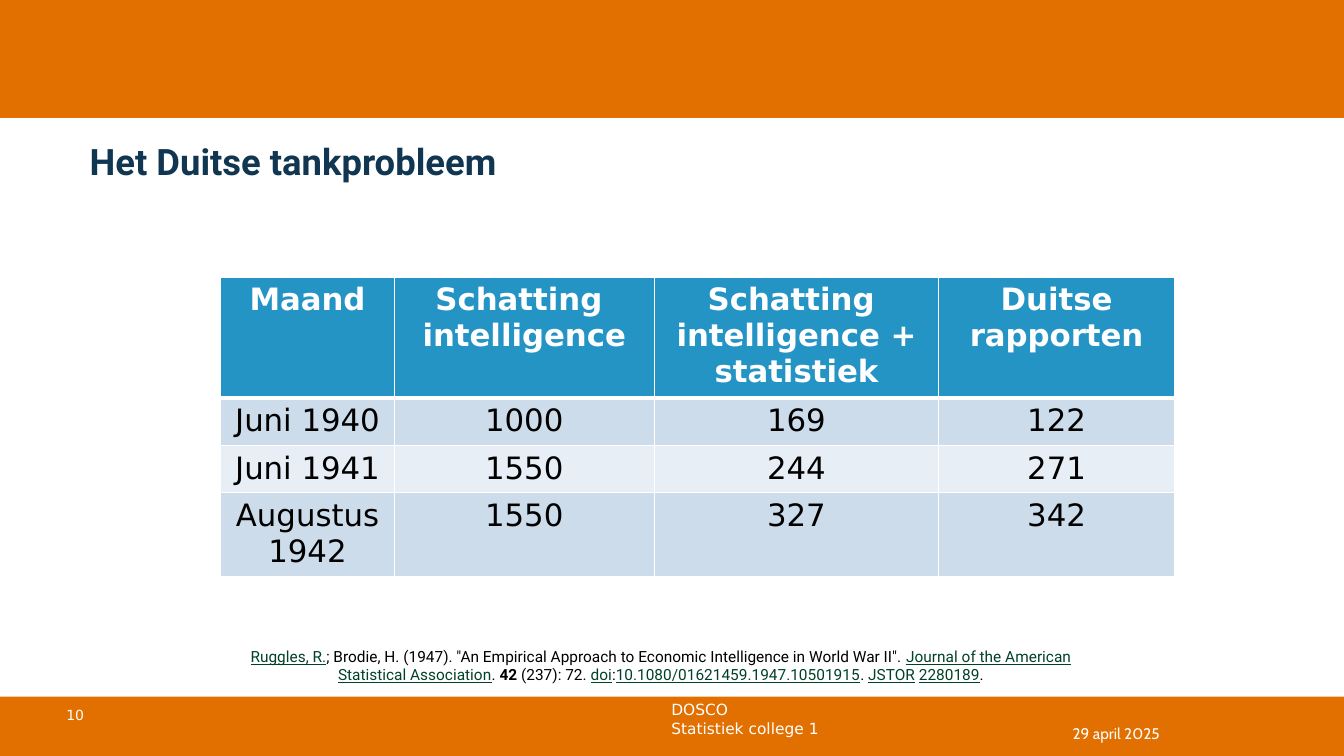
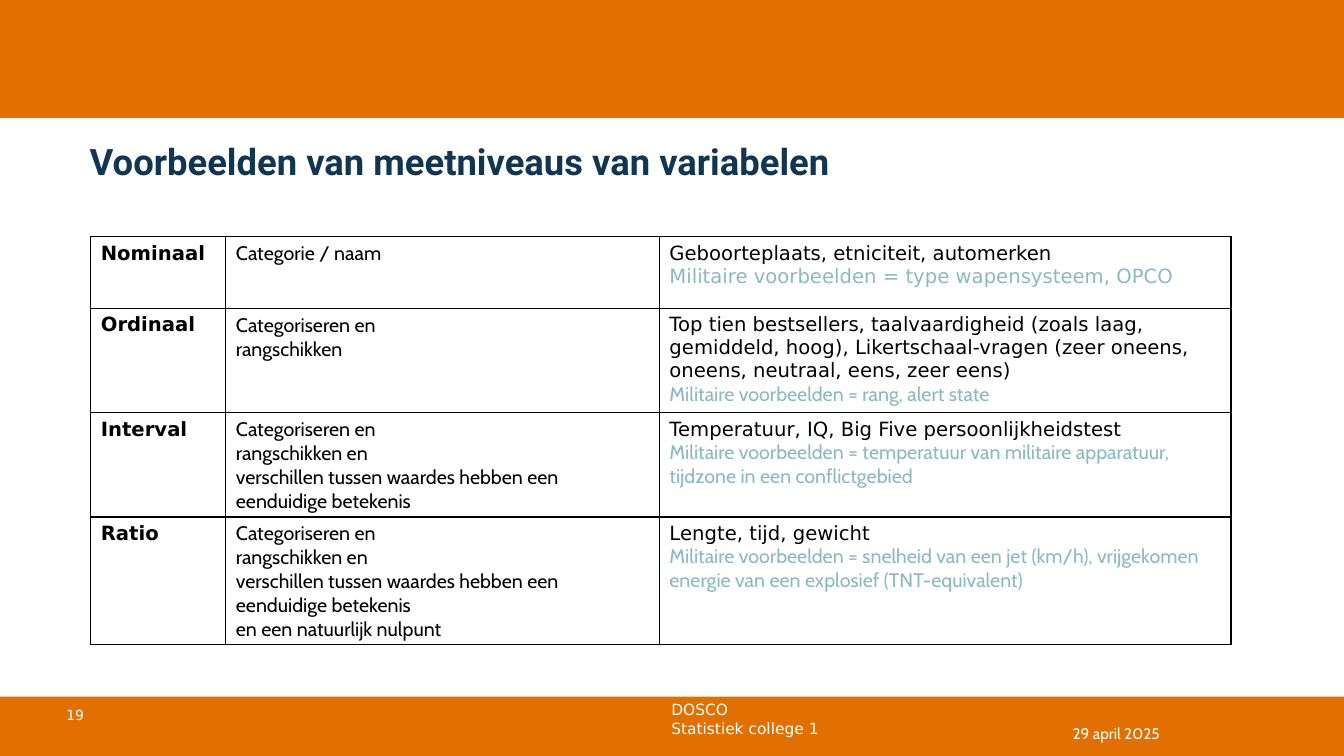
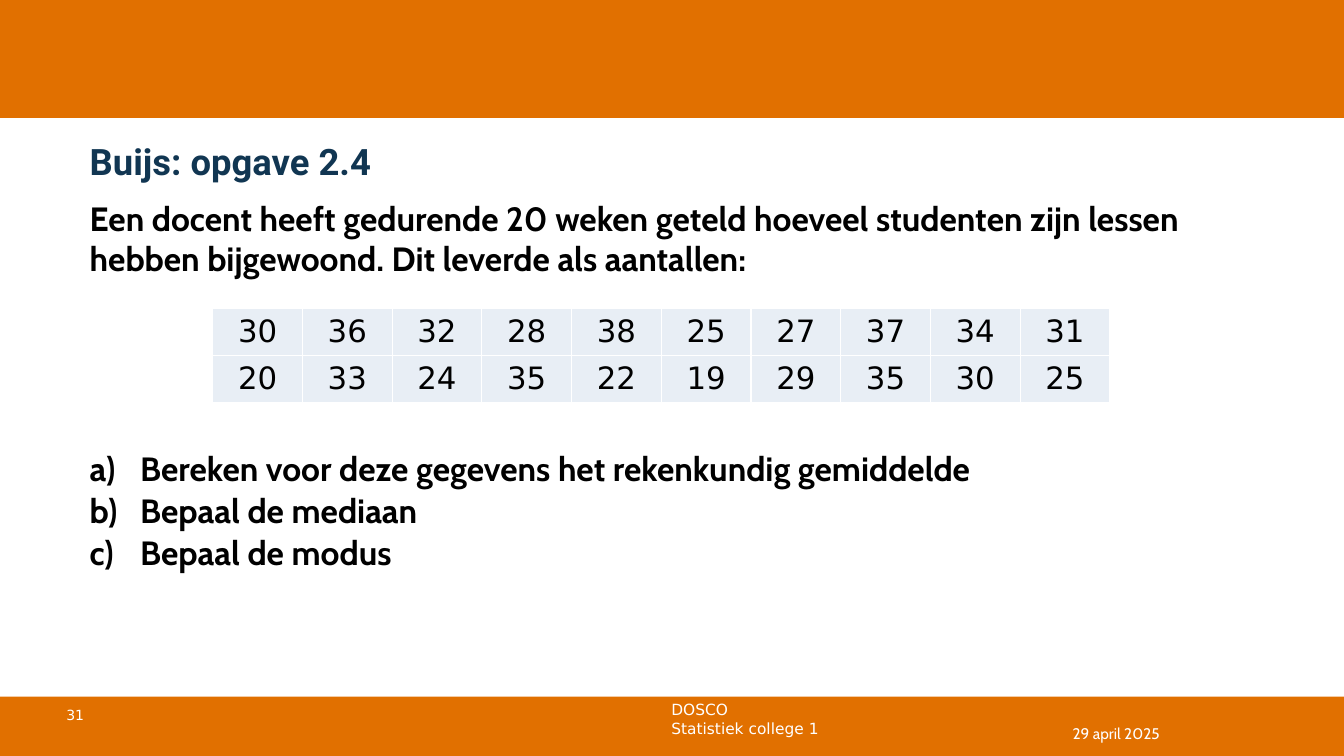
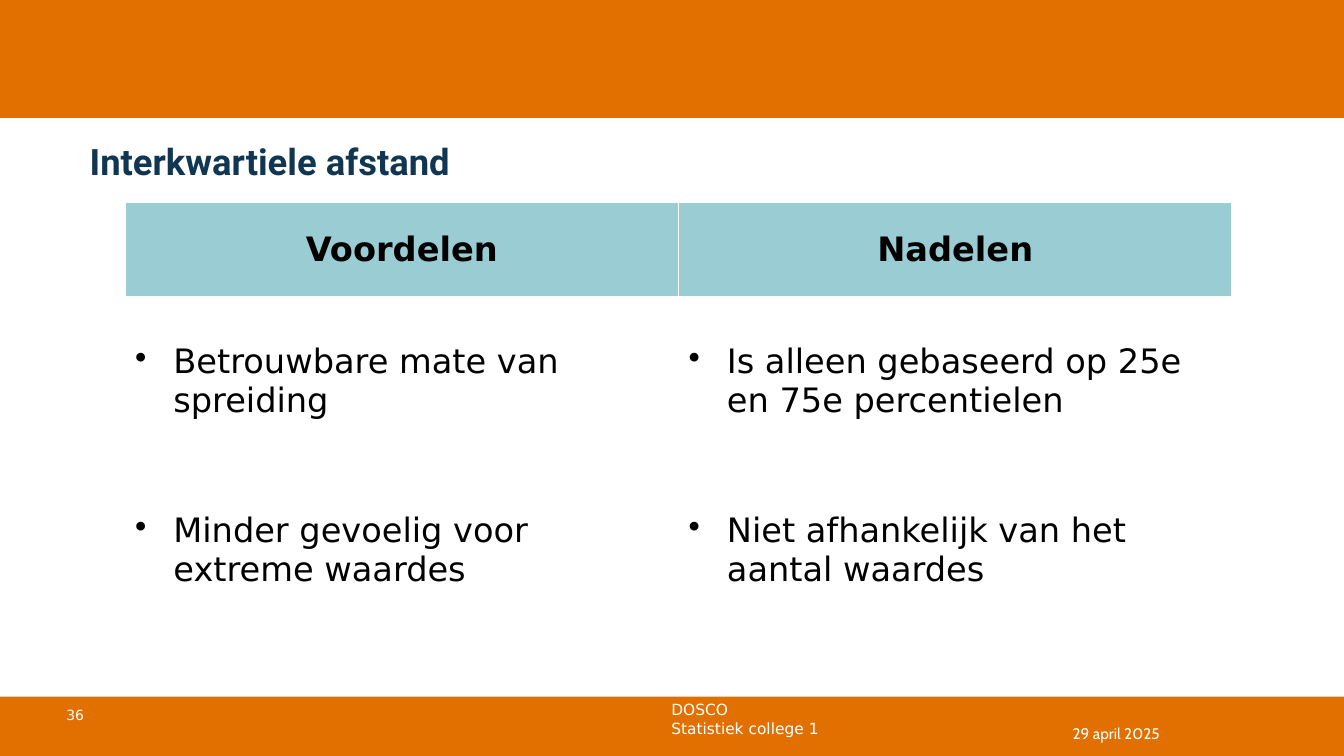
from pptx import Presentation
from pptx.dml.color import RGBColor
from pptx.enum import shapes, text
from pptx.oxml import parse_xml
from pptx.oxml.ns import nsdecls
from pptx.util import Inches, Pt

# Shared look
ORANGE, NAVY, WHITE, BLACK = "E17000", "113652", "FFFFFF", "000000"
BLUE, BLUE_MID, BLUE_PALE = "2494C5", "CDDCEA", "E8EEF5"
AQUA, TEAL, LINK_GREEN = "9ACCD4", "8BB9C0", "004228"
SANS, HEADING, BODY = "DejaVu Sans", "Roboto", "Cabin"
LEFT, CENTER = text.PP_ALIGN.LEFT, text.PP_ALIGN.CENTER
TOP, MIDDLE = text.MSO_ANCHOR.TOP, text.MSO_ANCHOR.MIDDLE
DOT = '<a:buChar {} char="•"/>'
LETTER = '<a:buAutoNum {} type="alphaLcParenR"/>'

# Content
COURSE = ["DOSCO", "Statistiek college 1"]
DATE = "29 april 2025"

TANK_ROWS = [
    [["Maand"], ["Schatting ", "intelligence"],
     ["Schatting ", "intelligence + statistiek"], ["Duitse rapporten"]],
    [["Juni 1940"], ["1000"], ["169"], ["122"]],
    [["Juni 1941"], ["1550"], ["244"], ["271"]],
    [["Augustus 1942"], ["1550"], ["327"], ["342"]],
]
LINK = {"color": LINK_GREEN, "underline": True}
CITATION = [
    ("Ruggles, R.", LINK),
    ('; Brodie, H. (1947). "An Empirical Approach to Economic Intelligence in World War II". ', {}),
    ("Journal of the American Statistical Association", LINK),
    (". ", {}), ("42", {"bold": True}), (" (237): 72. ", {}),
    ("doi", LINK), (":", {}), ("10.1080/01621459.1947.10501915", LINK),
    (". ", {}), ("JSTOR", LINK), (" ", {}), ("2280189", LINK), (".", {}),
]

RANKING = ["Categoriseren en", "rangschikken en",
           "verschillen tussen waardes hebben een eenduidige betekenis"]
# level, meaning, examples, military examples, font of the military examples
LEVELS = [
    ("Nominaal", ["Categorie / naam"],
     "Geboorteplaats, etniciteit, automerken",
     "type wapensysteem, OPCO", SANS),
    ("Ordinaal", ["Categoriseren en", "rangschikken"],
     "Top tien bestsellers, taalvaardigheid (zoals laag, gemiddeld, hoog), "
     "Likertschaal-vragen (zeer oneens, oneens, neutraal, eens, zeer eens)",
     "rang, alert state", BODY),
    ("Interval", RANKING,
     "Temperatuur, IQ, Big Five persoonlijkheidstest",
     "temperatuur van militaire apparatuur, tijdzone in een conflictgebied", BODY),
    ("Ratio", RANKING + ["en een natuurlijk nulpunt"],
     "Lengte, tijd, gewicht",
     "snelheid van een jet (km/h), vrijgekomen energie van een explosief (TNT-equivalent)", BODY),
]

EXERCISE = ("Een docent heeft gedurende 20 weken geteld hoeveel studenten zijn "
            "lessen hebben bijgewoond. Dit leverde als aantallen:")
ATTENDANCE = [[30, 36, 32, 28, 38, 25, 27, 37, 34, 31],
              [20, 33, 24, 35, 22, 19, 29, 35, 30, 25]]
QUESTIONS = ["Bereken voor deze gegevens het rekenkundig gemiddelde",
             "Bepaal de mediaan", "Bepaal de modus"]

PROS_CONS = [
    ["Voordelen", "Nadelen"],
    ["Betrouwbare mate van spreiding", "Is alleen gebaseerd op 25e en 75e percentielen"],
    ["Minder gevoelig voor extreme waardes", "Niet afhankelijk van het aantal waardes"],
]


def rgb(value):
    return RGBColor.from_string(value)


def write(frame, content, size=11, font=SANS, color=BLACK, bold=False,
          align=LEFT, before=0, bullet=None, indent=0):
    """Add one paragraph; content is a string or a list of (text, overrides)."""
    first = frame.paragraphs[0]
    paragraph = frame.add_paragraph() if first.runs else first
    paragraph.alignment = align
    paragraph.space_before = Pt(before)
    if bullet:
        properties = paragraph._p.get_or_add_pPr()
        properties.set("marL", str(Inches(indent)))
        properties.set("indent", str(-Inches(indent)))
        properties.append(parse_xml(bullet.format(nsdecls("a"))))
    for words, change in [(content, {})] if isinstance(content, str) else content:
        run = paragraph.add_run()
        run.text = words
        run.font.size, run.font.name = Pt(size), font
        run.font.bold = change.get("bold", bold)
        run.font.underline = change.get("underline", False)
        run.font.color.rgb = rgb(change.get("color", color))


def text_frame(slide, x, y, width, height, inset=True, anchor=TOP):
    frame = slide.shapes.add_textbox(*map(Inches, (x, y, width, height))).text_frame
    frame.word_wrap = True
    frame.vertical_anchor = anchor
    if not inset:
        frame.margin_left = frame.margin_right = frame.margin_top = frame.margin_bottom = 0
    return frame


def band(slide, y, height):
    bar = slide.shapes.add_shape(shapes.MSO_SHAPE.RECTANGLE, 0, Inches(y),
                                 Inches(13.33), Inches(height))
    bar.shadow.inherit = False
    bar.fill.solid()
    bar.fill.fore_color.rgb = rgb(ORANGE)
    bar.line.fill.background()


def new_slide(deck, number, title):
    slide = deck.slides.add_slide(deck.slide_layouts[6])
    band(slide, 6.91, 0.59)
    band(slide, 0, 1.17)
    course = text_frame(slide, 6.56, 6.9, 6.07, 0.31)
    for line in COURSE:
        write(course, line, color=WHITE)
    write(text_frame(slide, 0.56, 6.96, 1.04, 0.4), str(number), size=10, color=WHITE)
    write(text_frame(slide, 0.89, 1.38, 11.33, 0.43, inset=False), title,
          size=26, font=HEADING, color=NAVY, bold=True)
    write(text_frame(slide, 10.54, 7.08, 2.43, 0.4, anchor=MIDDLE), DATE,
          font=BODY, color=WHITE)
    return slide


def add_grid(slide, x, y, widths, heights, border=WHITE, fills=None, anchor=TOP, header_line=1):
    """Add an empty table; fills holds one colour (or None) per row."""
    table = slide.shapes.add_table(len(heights), len(widths), Inches(x), Inches(y),
                                   Inches(sum(widths)), Inches(sum(heights))).table
    table.first_row = table.horz_banding = False
    for column, width in zip(table.columns, widths):
        column.width = Inches(width)
    for r, (row, height) in enumerate(zip(table.rows, heights)):
        row.height = Inches(height)
        weights = {"L": 1, "R": 1, "T": header_line if r == 1 else 1,
                   "B": header_line if r == 0 else 1}
        for cell in row.cells:
            cell.vertical_anchor = anchor
            for side, weight in weights.items():
                cell._tc.get_or_add_tcPr().append(parse_xml(
                    f'<a:ln{side} {nsdecls("a")} w="{Pt(weight)}"><a:solidFill>'
                    f'<a:srgbClr val="{border}"/></a:solidFill></a:ln{side}>'))
            if fills and fills[r]:
                cell.fill.solid()
                cell.fill.fore_color.rgb = rgb(fills[r])
            else:
                cell.fill.background()
    return table


def tank_slide(deck):
    slide = new_slide(deck, 10, "Het Duitse tankprobleem")
    table = add_grid(slide, 2.19, 2.75, [1.72, 2.58, 2.82, 2.34], [0.82] + [0.47] * 3,
                     fills=[BLUE, BLUE_MID, BLUE_PALE, BLUE_MID], header_line=3)
    for r, row in enumerate(TANK_ROWS):
        for c, lines in enumerate(row):
            for line in lines:
                write(table.cell(r, c).text_frame, line, size=22, align=CENTER,
                      color=BLACK if r else WHITE, bold=r == 0)
    write(text_frame(slide, 2.11, 6.37, 8.89, 0.84), CITATION, font=HEADING, align=CENTER)


def levels_slide(deck):
    slide = new_slide(deck, 19, "Voorbeelden van meetniveaus van variabelen")
    table = add_grid(slide, 0.9, 2.35, [1.34, 4.3, 5.67], [0.71, 0.86, 1, 1.23], border=BLACK)
    for row, (level, meaning, examples, military, font) in zip(table.rows, LEVELS):
        name, sense, sample = [cell.text_frame for cell in row.cells]
        write(name, level, size=14, bold=True)
        for line in meaning:
            write(sense, line, size=14, font=BODY)
        write(sample, examples, size=14)
        write(sample, "Militaire voorbeelden = " + military, size=14, font=font, color=TEAL)


def exercise_slide(deck):
    slide = new_slide(deck, 31, "Buijs: opgave 2.4")
    body = text_frame(slide, 0.89, 1.96, 11.33, 4.62, inset=False)
    style = dict(size=24, font=BODY, bold=True)
    write(body, EXERCISE, **style)
    for i, question in enumerate(QUESTIONS):
        # The first question leaves room for the table
        write(body, question, before=1.2 if i else 121, bullet=LETTER, indent=0.5, **style)
    table = add_grid(slide, 2.11, 3.06, [0.89] * 10, [0.41] * 2, fills=[BLUE_PALE] * 2)
    for row, counts in zip(table.rows, ATTENDANCE):
        for cell, count in zip(row.cells, counts):
            write(cell.text_frame, str(count), size=22, align=CENTER)


def pros_cons_slide(deck):
    slide = new_slide(deck, 36, "Interkwartiele afstand")
    table = add_grid(slide, 1.24, 2.01, [5.49] * 2, [0.93, 1.68, 1.68],
                     fills=[AQUA, None, None], anchor=MIDDLE)
    for r, row in enumerate(PROS_CONS):
        style = dict(bullet=DOT, indent=0.38) if r else dict(bold=True, align=CENTER)
        for c, words in enumerate(row):
            write(table.cell(r, c).text_frame, words, size=24, **style)


def main():
    deck = Presentation()
    deck.slide_width, deck.slide_height = Inches(13.33), Inches(7.5)
    for build in (tank_slide, levels_slide, exercise_slide, pros_cons_slide):
        build(deck)
    deck.save("out.pptx")


if __name__ == "__main__":
    main()
